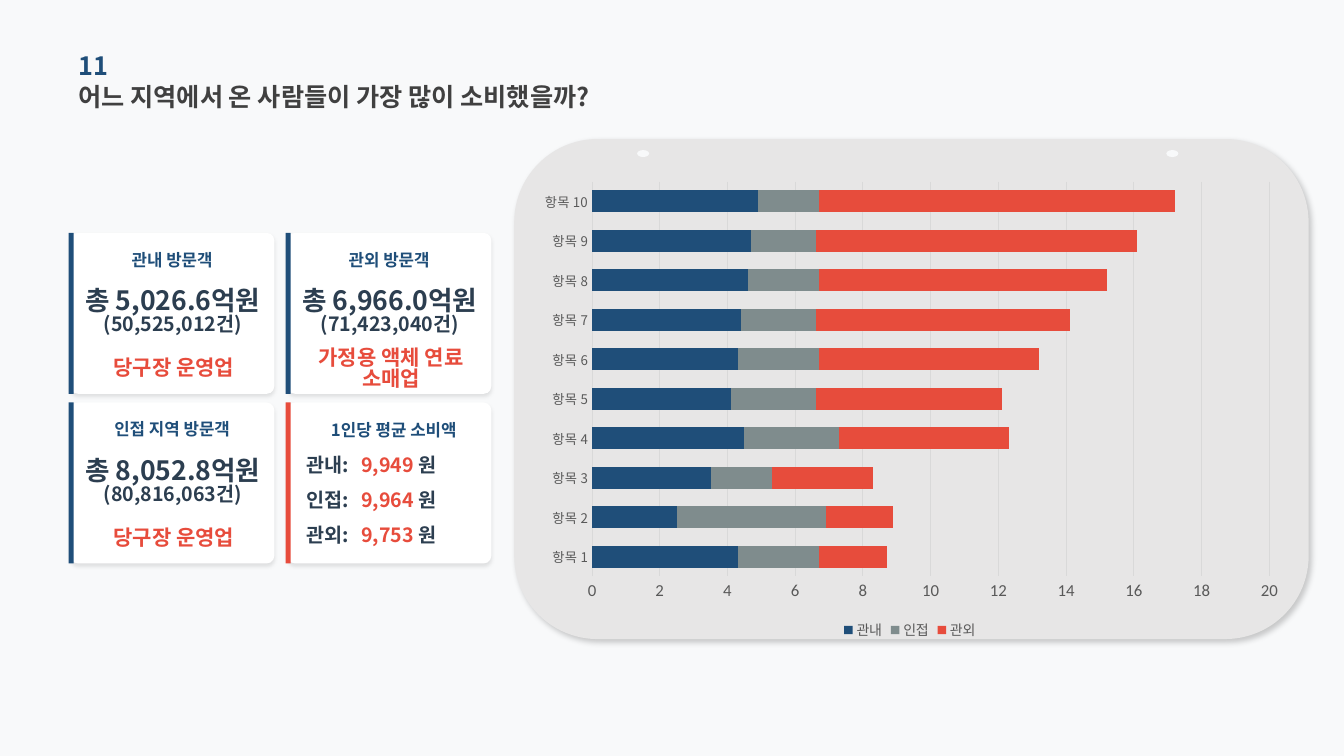
from lxml import etree
from pptx import Presentation
from pptx.chart.data import CategoryChartData
from pptx.dml.color import RGBColor
from pptx.enum.chart import XL_CHART_TYPE, XL_LEGEND_POSITION, XL_TICK_MARK
from pptx.enum.shapes import MSO_SHAPE
from pptx.enum.text import MSO_ANCHOR, PP_ALIGN
from pptx.oxml import parse_xml
from pptx.oxml.ns import nsdecls, qn
from pptx.util import Pt

RECT, ROUND, OVAL = MSO_SHAPE.RECTANGLE, MSO_SHAPE.ROUNDED_RECTANGLE, MSO_SHAPE.OVAL
LEFT, CENTER, MIDDLE = PP_ALIGN.LEFT, PP_ALIGN.CENTER, MSO_ANCHOR.MIDDLE
BAR_STACKED, BOTTOM = XL_CHART_TYPE.BAR_STACKED, XL_LEGEND_POSITION.BOTTOM
NO_TICK = XL_TICK_MARK.NONE

KOREAN, LATIN = "Noto Sans CJK KR", "Calibri"
NAVY, RED, GRAY, INK = "1F4E79", "E74C3C", "7F8C8D", "2C3E50"
PAPER, WHITE, PANEL = "F8F9FA", "FFFFFF", "E7E6E6"
TITLE, LABEL, GRID = "404040", "595959", "D9D9D9"
CARD_W, CARD_H = 147, 115


def rgb(color):
    return RGBColor.from_string(color)


def set_font(font, size, color, **formats):
    formats = {"name": KOREAN, "size": Pt(size), **formats}
    for key, value in formats.items():
        setattr(font, key, value)
    font.color.rgb = rgb(color)


def add_east_asian(root):
    """Give Hangul the same typeface as Latin letters."""
    for latin in list(root.iter(qn("a:latin"))):
        ea = etree.Element(qn("a:ea"), typeface=latin.get("typeface"))
        latin.addnext(ea)


def add_shape(s, kind, box, color, corner=None, shadow=None):
    sp = s.shapes.add_shape(kind, *map(Pt, box))
    sp.fill.solid()
    sp.fill.fore_color.rgb = rgb(color)
    sp.line.fill.background()
    sp.shadow.inherit = False
    if corner is not None:
        sp.adjustments[0] = corner
    if shadow:
        alpha, blur, dist, angle = shadow
        effects = sp._element.spPr.find(qn("a:effectLst"))
        effects.append(parse_xml(
            f'<a:outerShdw {nsdecls("a")} blurRad="{Pt(blur)}" dist="{Pt(dist)}" '
            f'dir="{angle * 60000}" algn="ctr" rotWithShape="0"><a:srgbClr val="000000">'
            f'<a:alpha val="{alpha * 1000}"/></a:srgbClr></a:outerShdw>'))


def add_text(s, box, lines, align=CENTER, spacing=None):
    """Each line is a list of (text, size, color) runs."""
    tf = s.shapes.add_textbox(*map(Pt, box)).text_frame
    tf.word_wrap = True
    tf.vertical_anchor = MIDDLE
    for side in ("left", "top", "right", "bottom"):
        setattr(tf, f"margin_{side}", 0)
    p = tf.paragraphs[0]
    p.alignment = align
    if spacing:
        p.line_spacing = spacing
    for i, runs in enumerate(lines):
        if i:
            p.add_line_break()
        for text, size, color in runs:
            r = p.add_run()
            r.text = text
            set_font(r.font, size, color, bold=True)


def add_heading(s, x, y):
    add_text(s, (x, y, 325, 29.5), [[("11", 18, NAVY)]], LEFT)
    add_text(s, (x, y + 22.5, 385, 29.5),
             [[("어느 지역에서 온 사람들이 가장 많이 소비했을까?", 18, TITLE)]], LEFT)


def add_card(s, x, y, accent):
    add_shape(s, ROUND, (x + 1.4, y, CARD_W - 1.4, CARD_H), WHITE, 0.048, (10, 3, 2, 90))
    add_shape(s, RECT, (x, y, 3.6, CARD_H), accent)


def add_visitor_card(s, x, y, title, total, count, business):
    add_card(s, x, y, NAVY)
    add_text(s, (x + 30, y + 8, 88, 22), [[(title, 12, NAVY)]])
    add_text(s, (x + 2, y + 40, CARD_W - 2, 34),
             [[(total, 19, INK)], [(count, 14, INK)]], spacing=0.83)
    add_text(s, (x + 3.6, y + 80.5, CARD_W - 3.6, 34), [[(business, 15, RED)]], spacing=0.83)


def add_average_card(s, x, y, title, averages):
    add_card(s, x, y, RED)
    add_text(s, (x + 32.4, y + 10.5, 101, 18), [[(title, 12, NAVY)]], LEFT)
    for i, (area, amount) in enumerate(averages):
        top = y + 34 + 25 * i
        add_text(s, (x + 15, top, 42, 21.5), [[(area, 14, INK)]], LEFT)
        add_text(s, (x + 54, top, 320, 21.5),
                 [[(amount + " ", 14, RED), ("원", 14, INK)]], LEFT)


def add_panel(s, x, y, w, h):
    add_shape(s, ROUND, (x, y, w, h), PANEL, shadow=(20, 4, 3, 45))
    for dx in (87.8, 465.8):
        add_shape(s, OVAL, (x + dx, y + 7.9, 8.6, 5), PAPER)


def add_spending_chart(s, x, y, w, h):
    data = CategoryChartData()
    data.categories = [f"항목 {n}" for n in range(1, 11)]
    series = [
        ("관내", NAVY, (4.3, 2.5, 3.5, 4.5, 4.1, 4.3, 4.4, 4.6, 4.7, 4.9)),
        ("인접", GRAY, (2.4, 4.4, 1.8, 2.8, 2.5, 2.4, 2.2, 2.1, 1.9, 1.8)),
        ("관외", RED, (2, 2, 3, 5, 5.5, 6.5, 7.5, 8.5, 9.5, 10.5)),
    ]
    for name, _, values in series:
        data.add_series(name, values)
    chart = s.shapes.add_chart(BAR_STACKED, Pt(x), Pt(y), Pt(w), Pt(h), data).chart
    set_font(chart.font, 10, "000000", name=LATIN)
    chart.has_title = False

    # Bars
    plot = chart.plots[0]
    plot.gap_width, plot.overlap, plot.vary_by_categories = 80, 100, False
    for bars, (_, color, _) in zip(plot.series, series):
        bars.format.fill.solid()
        bars.format.fill.fore_color.rgb = rgb(color)

    # Axes
    cat, val = chart.category_axis, chart.value_axis
    for axis in (cat, val):
        axis.major_tick_mark = axis.minor_tick_mark = NO_TICK
    set_font(cat.tick_labels.font, 9.5, LABEL)
    set_font(val.tick_labels.font, 12, LABEL, name=LATIN)
    val.minimum_scale, val.maximum_scale, val.major_unit = 0, 20, 2
    val.has_major_gridlines = True
    val.format.line.fill.background()
    for line in (cat.format.line, val.major_gridlines.format.line):
        line.color.rgb = rgb(GRID)
        line.width = Pt(0.75)

    # Legend
    chart.has_legend = True
    chart.legend.position = BOTTOM
    chart.legend.include_in_layout = False
    set_font(chart.legend.font, 10, LABEL)

    # Plot area as fractions of the chart
    area = chart._chartSpace.chart.plotArea
    for layout in area.findall(qn("c:layout")):
        area.remove(layout)
    sizes = {"x": 0.086, "y": 0.02, "w": 0.883, "h": 0.837}
    parts = "".join(f'<c:{k} val="{v}"/>' for k, v in sizes.items())
    area.insert(0, parse_xml(
        f'<c:layout {nsdecls("c")}><c:manualLayout><c:layoutTarget val="inner"/>'
        f'<c:xMode val="edge"/><c:yMode val="edge"/>{parts}</c:manualLayout></c:layout>'))
    add_east_asian(chart._chartSpace)


def main():
    prs = Presentation()
    prs.slide_width, prs.slide_height = Pt(960), Pt(540)
    s = prs.slides.add_slide(prs.slide_layouts[6])
    s.background.fill.solid()
    s.background.fill.fore_color.rgb = rgb(PAPER)

    add_panel(s, 367.3, 99.3, 567.5, 357.2)
    add_heading(s, 56, 31.7)

    # Two by two cards
    left, right, top, bottom = 49, 204, 166.3, 287.5
    add_visitor_card(s, left, top, "관내 방문객", "총 5,026.6억원",
                     "(50,525,012건)", "당구장 운영업")
    add_visitor_card(s, right, top, "관외 방문객", "총 6,966.0억원",
                     "(71,423,040건)", "가정용 액체 연료 소매업")
    add_visitor_card(s, left, bottom, "인접 지역 방문객", "총 8,052.8억원",
                     "(80,816,063건)", "당구장 운영업")
    add_average_card(s, right, bottom, "1인당 평균 소비액",
                     [("관내:", "9,949"), ("인접:", "9,964"), ("관외:", "9,753")])

    add_spending_chart(s, 375.8, 123, 548, 337)
    add_east_asian(s._element)
    prs.save("out.pptx")


if __name__ == "__main__":
    main()
